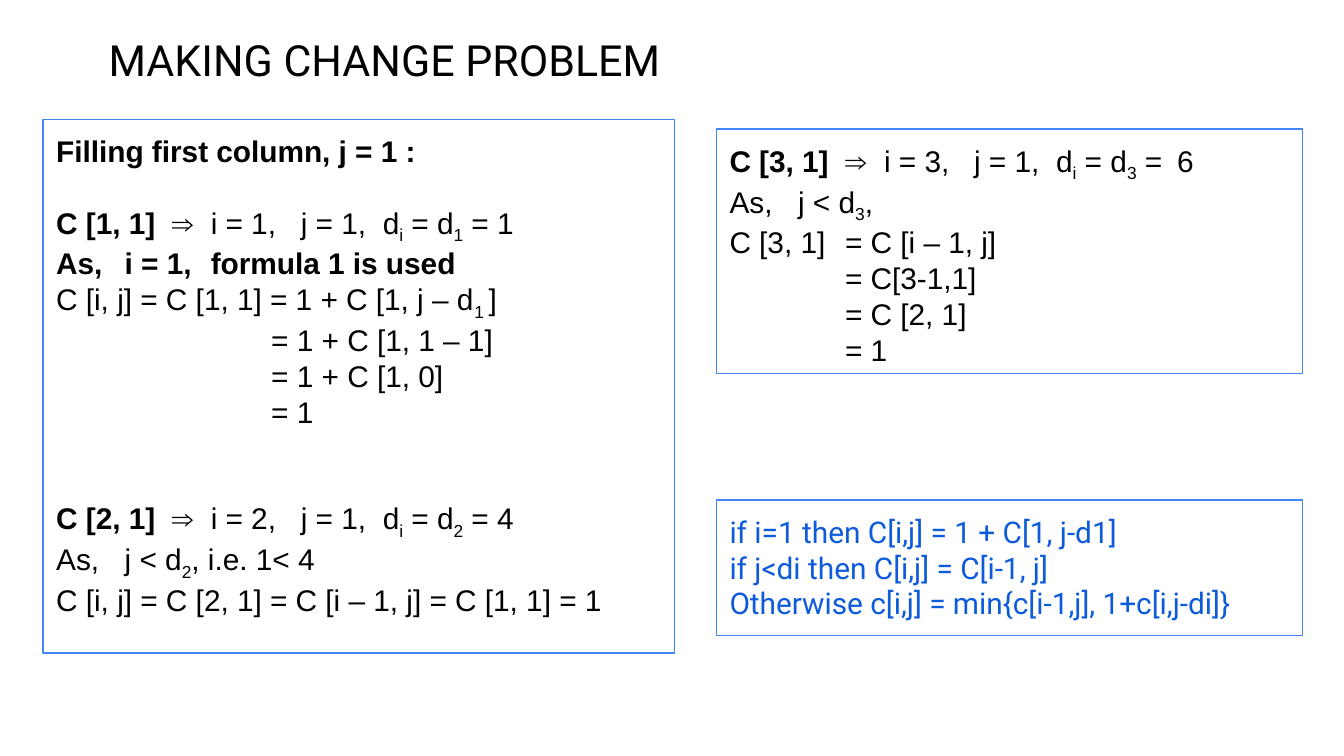
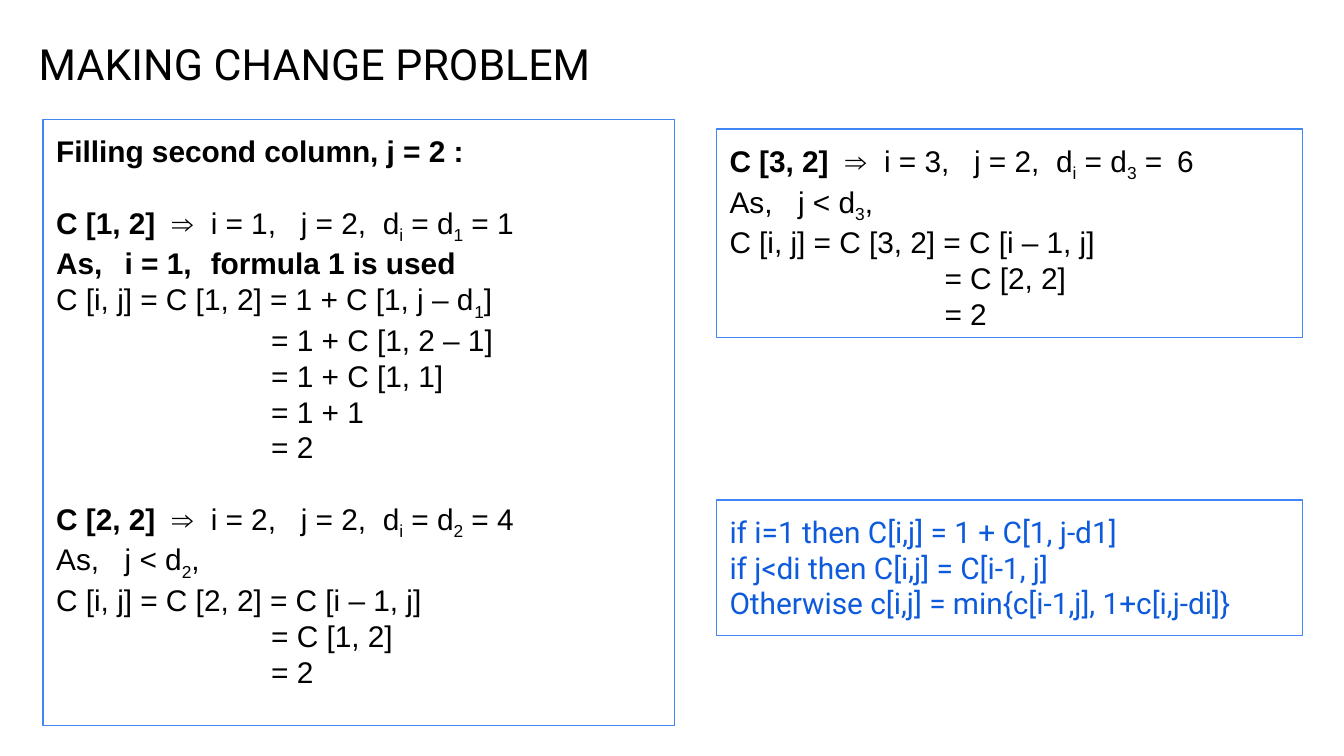
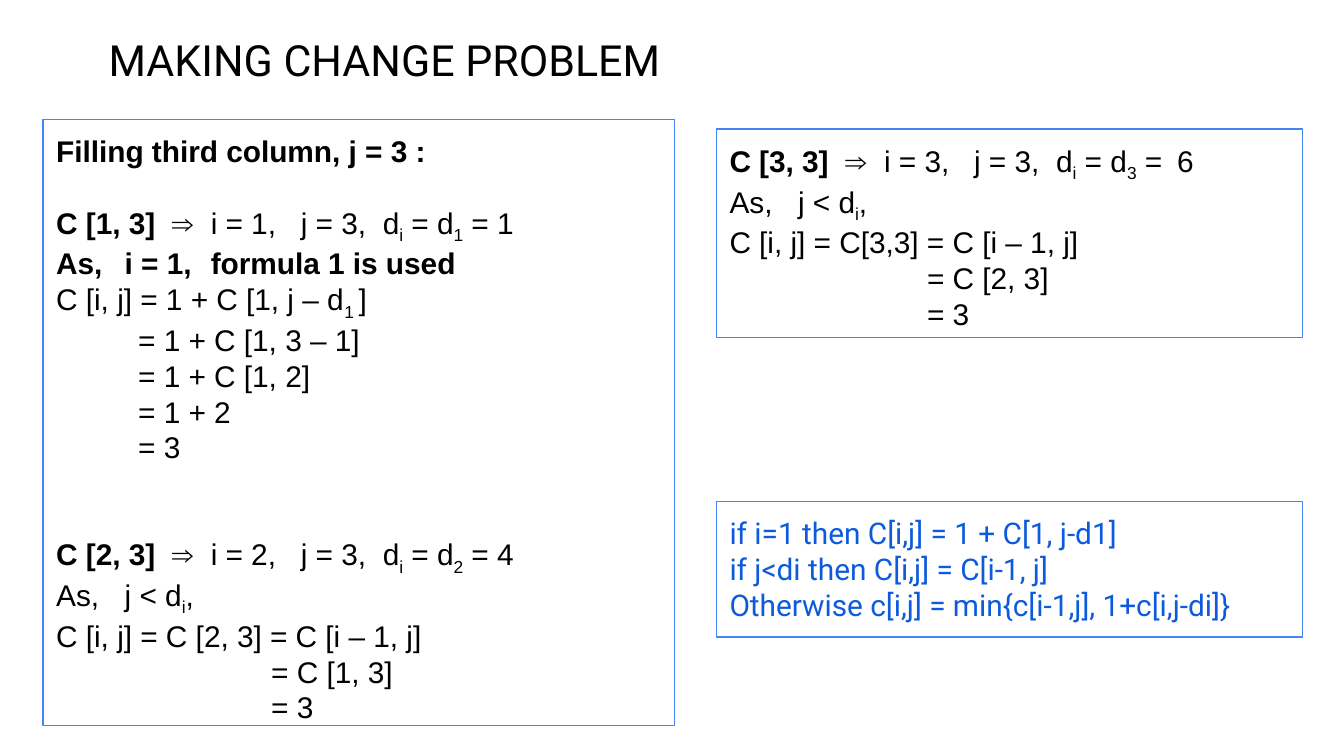
from collections import namedtuple

from lxml import etree
from pptx import Presentation
from pptx.dml.color import RGBColor
from pptx.enum.shapes import MSO_SHAPE
from pptx.enum.text import MSO_ANCHOR, MSO_AUTO_SIZE, PP_ALIGN
from pptx.oxml.ns import qn
from pptx.util import Inches, Pt

RECTANGLE = MSO_SHAPE.RECTANGLE
TOP = MSO_ANCHOR.TOP
GROW = MSO_AUTO_SIZE.SHAPE_TO_FIT_TEXT
LEFT, JUSTIFY = PP_ALIGN.LEFT, PP_ALIGN.JUSTIFY

BLACK = RGBColor(0x00, 0x00, 0x00)
FRAME_BLUE = RGBColor(0x42, 0x85, 0xF4)
FORMULA_BLUE = RGBColor(0x0D, 0x5B, 0xDC)

# Shared text styles
TITLE = {"name": "Roboto", "size": Pt(23), "color": BLACK, "align": JUSTIFY}
WORKING = {"name": "Arial", "size": Pt(16), "color": BLACK, "align": LEFT}
FORMULA = {"name": "Roboto", "size": Pt(16), "color": FORMULA_BLUE, "align": JUSTIFY}

BLANK_LAYOUT = 6
SLIDE_WIDTH = Inches(10)
SLIDE_HEIGHT = SLIDE_WIDTH * 9 // 16
TAB_STOPS = (0.51, 0.86, 1.15, 1.82, 2.43, 3.33)
LINE_GAP = 19  # points in one skipped line

# Indents that put a step below the equals sign it continues
AFTER_IJ = 0.61
AFTER_CELL = 0.86
AFTER_COMPACT = 1.47
AFTER_BOTH = 1.6

# Text marks: * switches bold, ~ switches subscript; gap counts skipped lines
Line = namedtuple("Line", "text indent gap", defaults=(0, 0))
Column = namedtuple("Column", "title_at left_height left right_height right formula_top")

FORMULAS = [
    Line("if i=1 then C[i,j] = 1 + C[1, j-d1]"),
    Line("if j<di then C[i,j] = C[i-1, j]"),
    Line("Otherwise c[i,j] = min{c[i-1,j], 1+c[i,j-di]}"),
]


def cell_heading(i, j, coin, gap=0):
    return Line(f"*C [{i}, {j}]*\t⇒\ti = {i},\tj = {j},\td~i~ = d~{i}~ ={coin}", gap=gap)


def column_start(ordinal, j):
    return [
        Line(f"*Filling {ordinal} column, j = {j} :*"),
        cell_heading(1, j, " 1", gap=1),
        Line("*As,\ti = 1,\tformula 1 is used*"),
    ]


def steps(indent, *texts):
    return [Line(text, indent) for text in texts]


COLUMNS = [
    Column(
        (0.71, 0.15), 3.97,
        column_start("first", 1)
        + [Line("C [i, j] = C [1, 1] = 1 + C [1, j – d~1 ~]")]
        + steps(AFTER_BOTH, "= 1 + C [1, 1 – 1]", "= 1 + C [1, 0]", "= 1")
        + [
            cell_heading(2, 1, " 4", gap=2),
            Line("As,\tj < d~2~, i.e. 1< 4"),
            Line("C [i, j] = C [2, 1] = C [i – 1, j] = C [1, 1] = 1"),
        ],
        1.82,
        [cell_heading(3, 1, "\t6"), Line("As,\tj < d~3~,"), Line("C [3, 1]\t= C [i – 1, j]")]
        + steps(AFTER_CELL, "= C[3-1,1]", "= C [2, 1]", "= 1"),
        3.72,
    ),
    Column(
        (0.19, 0.18), 4.51,
        column_start("second", 2)
        + [Line("C [i, j] = C [1, 2] = 1 + C [1, j – d~1~]")]
        + steps(AFTER_BOTH, "= 1 + C [1, 2 – 1]", "= 1 + C [1, 1]", "= 1 + 1", "= 2")
        + [
            cell_heading(2, 2, " 4", gap=1),
            Line("As,\tj < d~2~,"),
            Line("C [i, j] = C [2, 2] = C [i – 1, j]"),
        ]
        + steps(AFTER_BOTH, "= C [1, 2]", "= 2"),
        1.55,
        [
            cell_heading(3, 2, "\t6"),
            Line("As,\tj < d~3~,"),
            Line("C [i, j] = C [3, 2] = C [i – 1, j]"),
        ]
        + steps(AFTER_BOTH, "= C [2, 2]", "= 2"),
        3.72,
    ),
    Column(
        (0.71, 0.15), 4.51,
        column_start("third", 3)
        + [Line("C [i, j] = 1 + C [1, j – d~1 ~]")]
        + steps(AFTER_IJ, "= 1 + C [1, 3 – 1]", "= 1 + C [1, 2]", "= 1 + 2", "= 3")
        + [
            cell_heading(2, 3, " 4", gap=2),
            Line("As,\tj < d~i~,"),
            Line("C [i, j] = C [2, 3] = C [i – 1, j]"),
        ]
        + steps(AFTER_BOTH, "= C [1, 3]", "= 3"),
        1.55,
        [
            cell_heading(3, 3, "\t6"),
            Line("As,\tj < d~i~,"),
            Line("C [i, j] = C[3,3] = C [i – 1, j]"),
        ]
        + steps(AFTER_COMPACT, "= C [2, 3]", "= 3"),
        3.73,
    ),
]


def add_tab_stops(properties):
    stops = etree.SubElement(properties, qn("a:tabLst"))
    for position in TAB_STOPS:
        etree.SubElement(stops, qn("a:tab"), pos=str(Inches(position)), algn="l")


def add_span(para, text, style, bold, subscript):
    span = para.add_run()
    span.text = text
    for key, value in {"name": style["name"], "size": style["size"], "bold": bold}.items():
        setattr(span.font, key, value)
    span.font.color.rgb = style["color"]
    if subscript:
        span.font._element.set("baseline", "-25000")


def write_line(para, line, style):
    properties = para._p.get_or_add_pPr()
    if "\t" in line.text:
        add_tab_stops(properties)
    if line.indent:
        properties.set("marL", str(Inches(line.indent)))
        properties.set("indent", "0")
    if line.gap:
        para.space_before = Pt(line.gap * LINE_GAP)
    para.alignment = style["align"]
    for bold_index, part in enumerate(line.text.split("*")):
        for sub_index, text in enumerate(part.split("~")):
            if text:
                add_span(para, text, style, bold_index % 2 == 1, sub_index % 2 == 1)


def write_lines(box, lines, style):
    frame = box.text_frame
    margins = {f"margin_{side}": Inches(0.1) for side in ("left", "top", "right", "bottom")}
    settings = {"word_wrap": True, "auto_size": GROW, "vertical_anchor": TOP, **margins}
    for key, value in settings.items():
        setattr(frame, key, value)
    for index, line in enumerate(lines):
        para = frame.add_paragraph() if index else frame.paragraphs[0]
        write_line(para, line, style)


def add_title(page, left, top):
    box = page.shapes.add_textbox(Inches(left), Inches(top), Inches(7.16), Inches(0.61))
    write_lines(box, [Line("MAKING CHANGE PROBLEM")], TITLE)


def add_framed_text(page, left, top, width, height, lines, style):
    area = [Inches(length) for length in (left, top, width, height)]
    box = page.shapes.add_shape(RECTANGLE, *area)
    box.shadow.inherit = False
    box.fill.background()
    box.line.color.rgb = FRAME_BLUE
    box.line.width = Pt(0.75)
    write_lines(box, lines, style)


def add_column_page(deck, column):
    page = deck.slides.add_slide(deck.slide_layouts[BLANK_LAYOUT])
    add_title(page, *column.title_at)
    # Working for rows 1 and 2, then row 3, then the rules
    add_framed_text(page, 0.32, 0.89, 4.7, column.left_height, column.left, WORKING)
    add_framed_text(page, 5.33, 0.96, 4.36, column.right_height, column.right, WORKING)
    add_framed_text(page, 5.33, column.formula_top, 4.36, 1.01, FORMULAS, FORMULA)


def main():
    deck = Presentation()
    deck.slide_width, deck.slide_height = SLIDE_WIDTH, SLIDE_HEIGHT
    for column in COLUMNS:
        add_column_page(deck, column)
    deck.save("out.pptx")


if __name__ == "__main__":
    main()
